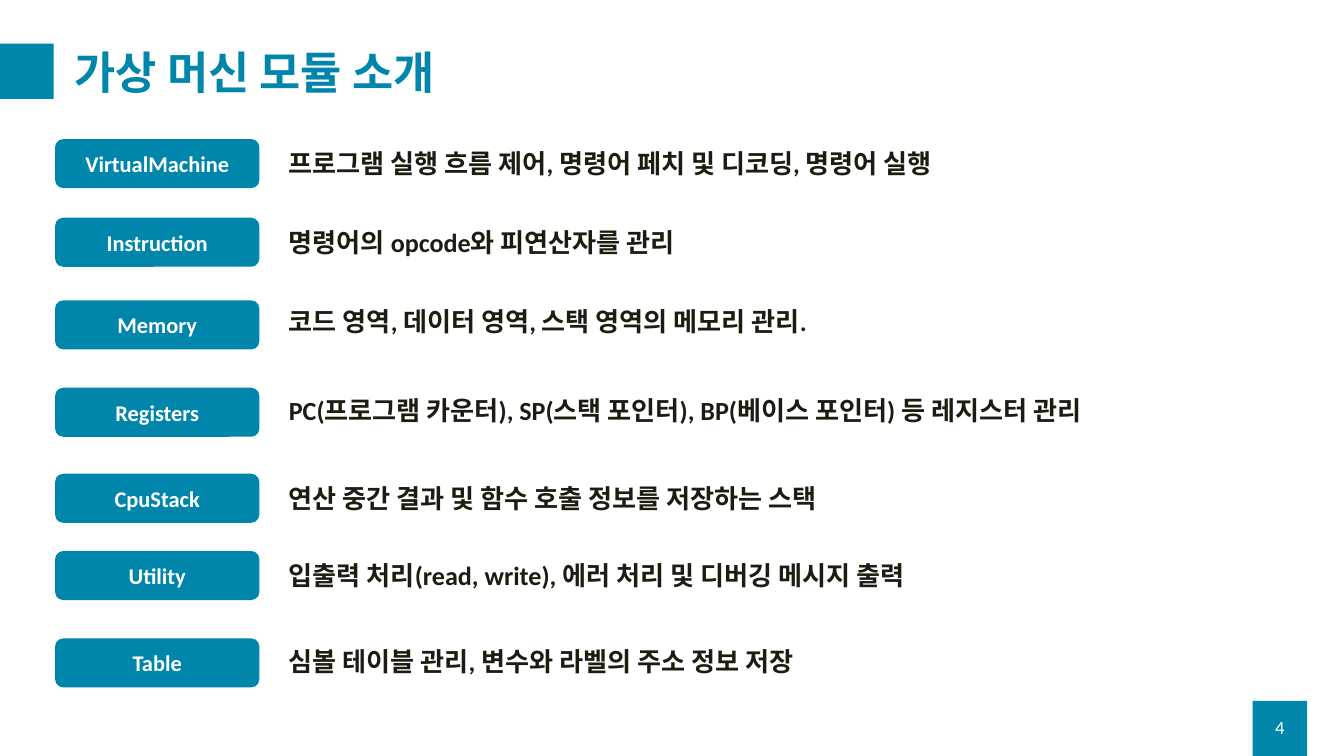
import pptx
import pptx.util
import pptx.dml.color
import pptx.enum.shapes
import pptx.enum.text
from dataclasses import dataclass

Inches = pptx.util.Inches
Kind = pptx.enum.shapes.MSO_SHAPE
Align = pptx.enum.text.PP_ALIGN
Anchor = pptx.enum.text.MSO_ANCHOR
Fit = pptx.enum.text.MSO_AUTO_SIZE


@dataclass(frozen=True)
class Theme:
    font: str = "Calibri"
    teal: str = "0086AB"
    white: str = "FFFFFF"
    ink: str = "1E1C11"
    title: int = 48
    body: int = 28
    label: int = 24
    number: int = 20


THEME = Theme()

ROWS = [
    ("VirtualMachine", 2.07, 2.15, 11.36,
     "프로그램 실행 흐름 제어, 명령어 페치 및 디코딩, 명령어 실행"),
    ("Instruction", 3.24, 3.32, 11.36, "명령어의 opcode와 피연산자를 관리"),
    ("Memory", 4.47, 4.5, 11.36,
     "코드 영역, 데이터 영역, 스택 영역의 메모리 관리."),
    ("Registers", 5.77, 5.82, 13.04,
     "PC(프로그램 카운터), SP(스택 포인터), BP(베이스 포인터) 등 레지스터 관리"),
    ("CpuStack", 7.05, 7.13, 11.36,
     "연산 중간 결과 및 함수 호출 정보를 저장하는 스택"),
    ("Utility", 8.2, 8.28, 11.36,
     "입출력 처리(read, write), 에러 처리 및 디버깅 메시지 출력"),
    ("Table", 9.5, 9.56, 11.36,
     "심볼 테이블 관리, 변수와 라벨의 주소 정보 저장"),
]


def paint(color, code):
    color.rgb = pptx.dml.color.RGBColor.from_string(code)


def assign(item, values):
    for name, value in values.items():
        setattr(item, name, value)


def write(shape, text, size, color, bold=True, align=Align.LEFT,
          anchor=Anchor.MIDDLE, fit=Fit.NONE):
    frame = shape.text_frame
    assign(frame, {"word_wrap": True, "auto_size": fit,
                   "vertical_anchor": anchor})
    line = frame.paragraphs[0]
    line.alignment = align
    run = line.add_run()
    run.text = text
    assign(run.font, {"name": THEME.font, "size": pptx.util.Pt(size),
                      "bold": bold})
    paint(run.font.color, color)
    return line


def add_block(slide, kind, *box):
    shape = slide.shapes.add_shape(kind, *map(Inches, box))
    shape.shadow.inherit = False
    shape.fill.solid()
    paint(shape.fill.fore_color, THEME.teal)
    shape.line.fill.background()
    return shape


def add_text(slide, box, *args, **style):
    shape = slide.shapes.add_textbox(*map(Inches, box))
    write(shape, *args, **style)


def add_title(slide, text):
    shape = slide.shapes.title
    assign(shape, {"left": Inches(1.01), "top": Inches(0.52),
                   "width": Inches(18.25), "height": Inches(1.18)})
    line = write(shape, text, THEME.title, THEME.teal)
    line.line_spacing = 0.9


def add_row(slide, name, top, base, width, text):
    label = add_block(slide, Kind.ROUNDED_RECTANGLE, 0.82, top, 3.04, 0.73)
    write(label, name, THEME.label, THEME.white, align=Align.CENTER)
    add_text(slide, (4.2, base, width, 0.57), text, THEME.body, THEME.ink,
             anchor=Anchor.TOP, fit=Fit.SHAPE_TO_FIT_TEXT)


def main():
    deck = pptx.Presentation()
    assign(deck, {"slide_width": Inches(20), "slide_height": Inches(11.25)})
    slide = deck.slides.add_slide(deck.slide_layouts[5])
    for left, top in ((18.64, 10.43), (-0.01, 0.65)):
        add_block(slide, Kind.RECTANGLE, left, top, 0.81, 0.82)
    add_title(slide, "가상 머신 모듈 소개")
    add_text(slide, (18.64, 10.52, 0.81, 0.6), "4", THEME.number,
             THEME.white, bold=False, align=Align.CENTER)
    for row in ROWS:
        add_row(slide, *row)
    deck.save("out.pptx")


if __name__ == "__main__":
    main()
